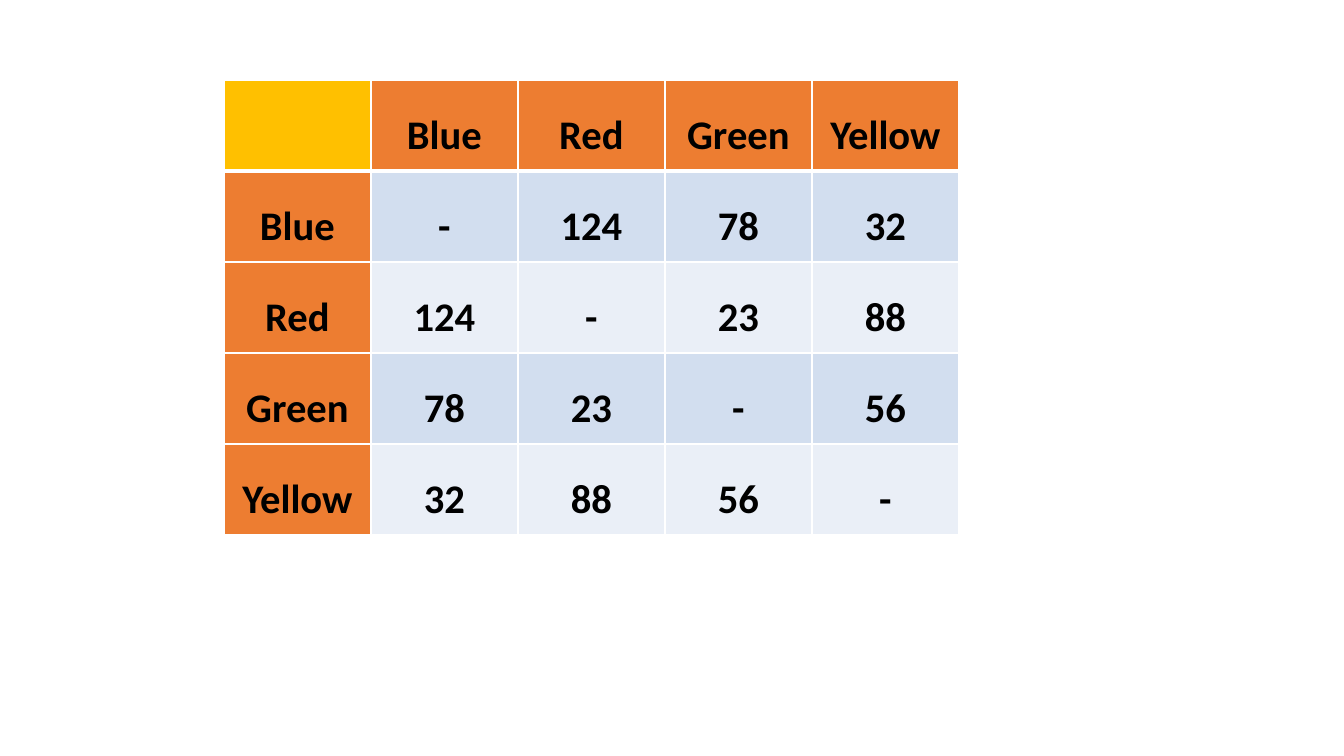
from dataclasses import dataclass

import lxml.etree
import pptx
import pptx.dml.color
import pptx.enum.text
import pptx.oxml.ns
import pptx.table
import pptx.util

SLIDE_WIDTH, SLIDE_HEIGHT = 1344, 756
EMU_PER_PX = 12192000 / SLIDE_WIDTH

LEFT, TOP = 224, 80
COLUMN_WIDTH, ROW_HEIGHT = 147, 91
SIDE_INSET, EDGE_INSET = 12, 6

CORNER_FILL = "FFC000"
HEADING_FILL = "ED7D31"
BAND_FILLS = ("EAEFF7", "D2DEEF")
BORDER_COLOUR = "FFFFFF"
TEXT_COLOUR = "000000"

COLOURS = ["Blue", "Red", "Green", "Yellow"]
DISTANCES = [
    ["-", "124", "78", "32"],
    ["124", "-", "23", "88"],
    ["78", "23", "-", "56"],
    ["32", "88", "56", "-"],
]


@dataclass
class Entry:
    text: str
    fill: str
    top_border: int = 1
    bottom_border: int = 1


def px(length: int) -> pptx.util.Emu:
    return pptx.util.Emu(round(length * EMU_PER_PX))


def rgb(colour: str) -> pptx.dml.color.RGBColor:
    return pptx.dml.color.RGBColor.from_string(colour)


def matrix_entries() -> list[list[Entry]]:
    header = [Entry("", CORNER_FILL, bottom_border=3)]
    header += [Entry(name, HEADING_FILL, bottom_border=3) for name in COLOURS]
    entries = [header]
    for row, (name, distances) in enumerate(zip(COLOURS, DISTANCES), start=1):
        top_border = 3 if row == 1 else 1
        line = [Entry(name, HEADING_FILL, top_border)]
        line += [Entry(value, BAND_FILLS[row % 2], top_border) for value in distances]
        entries.append(line)
    return entries


def draw_borders(cell: pptx.table._Cell, entry: Entry) -> None:
    properties = cell._tc.get_or_add_tcPr()
    widths = {"lnL": 1, "lnR": 1, "lnT": entry.top_border, "lnB": entry.bottom_border}
    qn = pptx.oxml.ns.qn
    for position, (side, width) in enumerate(widths.items()):
        border = lxml.etree.Element(qn(f"a:{side}"), w=str(pptx.util.Pt(width)))
        fill = lxml.etree.SubElement(border, qn("a:solidFill"))
        lxml.etree.SubElement(fill, qn("a:srgbClr"), val=BORDER_COLOUR)
        properties.insert(position, border)


def draw_entry(cell: pptx.table._Cell, entry: Entry) -> None:
    cell.fill.solid()
    cell.fill.fore_color.rgb = rgb(entry.fill)
    cell.margin_left = cell.margin_right = px(SIDE_INSET)
    cell.margin_top = cell.margin_bottom = px(EDGE_INSET)
    draw_borders(cell, entry)
    if not entry.text:
        return
    cell.text_frame.text = entry.text
    paragraph = cell.text_frame.paragraphs[0]
    paragraph.alignment = pptx.enum.text.PP_ALIGN.CENTER
    paragraph.line_spacing = 1.5
    for run in paragraph.runs:
        run.font.name = "Calibri"
        run.font.size = pptx.util.Pt(29)
        run.font.bold = True
        run.font.color.rgb = rgb(TEXT_COLOUR)


def main() -> None:
    presentation = pptx.Presentation()
    presentation.slide_width = px(SLIDE_WIDTH)
    presentation.slide_height = px(SLIDE_HEIGHT)
    slide = presentation.slides.add_slide(presentation.slide_layouts[6])

    entries = matrix_entries()
    size = len(entries)
    matrix = slide.shapes.add_table(
        size, size, px(LEFT), px(TOP), px(size * COLUMN_WIDTH), px(size * ROW_HEIGHT)
    ).table
    for column in matrix.columns:
        column.width = px(COLUMN_WIDTH)
    for row, line in zip(matrix.rows, entries):
        row.height = px(ROW_HEIGHT)
        for cell, entry in zip(row.cells, line):
            draw_entry(cell, entry)

    presentation.save("out.pptx")


if __name__ == "__main__":
    main()
